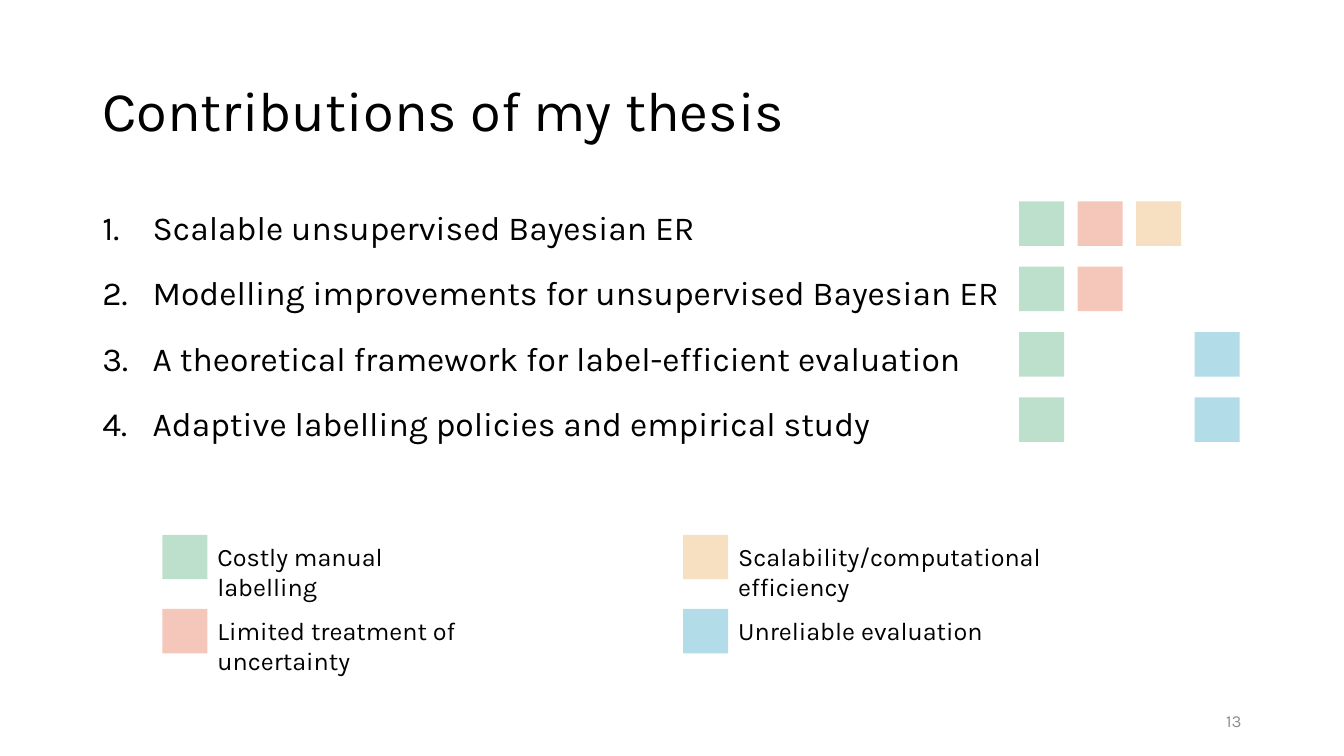
import pptx
import pptx.dml.color
import pptx.enum.shapes
import pptx.enum.text
import pptx.util
from pptx.oxml.xmlchemy import OxmlElement

Pt = pptx.util.Pt
ANCHOR = pptx.enum.text.MSO_ANCHOR
ALIGN = pptx.enum.text.PP_ALIGN

TITLE = "Contributions of my thesis"
PAGE_NUMBER = "13"
CHALLENGES = [
    ("Costly manual labelling", "BDE0CC", 204.5),
    ("Limited treatment of uncertainty", "F5C6BA", 279.4),
    ("Scalability/computational efficiency", "F7DFC1", 308.2),
    ("Unreliable evaluation", "B2DCE7", 189.4),
]
CONTRIBUTIONS = [
    ("Scalable unsupervised Bayesian ER", (0, 1, 2)),
    ("Modelling improvements for unsupervised Bayesian ER", (0, 1)),
    ("A theoretical framework for label-efficient evaluation", (0, 3)),
    ("Adaptive labelling policies and empirical study", (0, 3)),
]

FONT = "Karla"
MARGIN, CONTENT_WIDTH = 66, 828
SQUARE_WIDTH, SQUARE_HEIGHT = 32.2, 31.8
MATRIX_LEFT, MATRIX_TOP = 728, 143.8
COLUMN_STEP, ROW_STEP = 41.8, 46.7
LEGEND_LEFT, LEGEND_TOP = 116, 382
LEGEND_COLUMN_STEP, LEGEND_ROW_STEP = 372, 53
INDENT = 36


def color(value):
    return pptx.dml.color.RGBColor.from_string(value)


def add_box(slide, left, top, width, height, anchor=ANCHOR.TOP):
    box = slide.shapes.add_textbox(Pt(left), Pt(top), Pt(width), Pt(height))
    box.text_frame.word_wrap = True
    box.text_frame.vertical_anchor = anchor
    return box.text_frame


def add_run(paragraph, text, size, fill="000000"):
    run = paragraph.add_run()
    run.text = text
    run.font.name = FONT
    run.font.size = Pt(size)
    run.font.color.rgb = color(fill)


def number_paragraph(paragraph):
    properties = paragraph._p.get_or_add_pPr()
    properties.set("marL", str(Pt(INDENT)))
    properties.set("indent", str(-Pt(INDENT)))
    numbering = OxmlElement("a:buAutoNum")
    numbering.set("type", "arabicPeriod")
    properties.append(numbering)


def add_square(slide, left, top, fill):
    square = slide.shapes.add_shape(
        pptx.enum.shapes.MSO_SHAPE.RECTANGLE,
        Pt(left), Pt(top), Pt(SQUARE_WIDTH), Pt(SQUARE_HEIGHT))
    square.shadow.inherit = False
    square.fill.solid()
    square.fill.fore_color.rgb = color(fill)
    square.line.fill.background()


def add_contributions(slide):
    frame = add_box(slide, MARGIN, 144, CONTENT_WIDTH, 342.7)
    for row, (text, challenges) in enumerate(CONTRIBUTIONS):
        paragraph = frame.add_paragraph() if row else frame.paragraphs[0]
        number_paragraph(paragraph)
        if row:
            paragraph.space_before = Pt(18)
        add_run(paragraph, text, 24)
        for column in challenges:
            add_square(slide, MATRIX_LEFT + column * COLUMN_STEP,
                       MATRIX_TOP + row * ROW_STEP, CHALLENGES[column][1])


def add_legend(slide):
    for index, (text, fill, width) in enumerate(CHALLENGES):
        column, row = divmod(index, 2)
        left = LEGEND_LEFT + column * LEGEND_COLUMN_STEP
        top = LEGEND_TOP + row * LEGEND_ROW_STEP
        add_square(slide, left, top, fill)
        label = add_box(slide, left + SQUARE_WIDTH, top + 1, width, 29)
        add_run(label.paragraphs[0], text, 18)


def main():
    presentation = pptx.Presentation()
    presentation.slide_width = Pt(960)
    presentation.slide_height = Pt(540)
    slide = presentation.slides.add_slide(presentation.slide_layouts[6])

    title = add_box(slide, MARGIN, 28.8, CONTENT_WIDTH, 104.4, ANCHOR.MIDDLE).paragraphs[0]
    title.line_spacing = 0.9
    add_run(title, TITLE, 40)

    add_contributions(slide)
    add_legend(slide)

    number = add_box(slide, 678, 500.5, 216, 28.8, ANCHOR.MIDDLE).paragraphs[0]
    number.alignment = ALIGN.RIGHT
    add_run(number, PAGE_NUMBER, 12, "8C8C8C")

    presentation.save("out.pptx")


if __name__ == "__main__":
    main()
